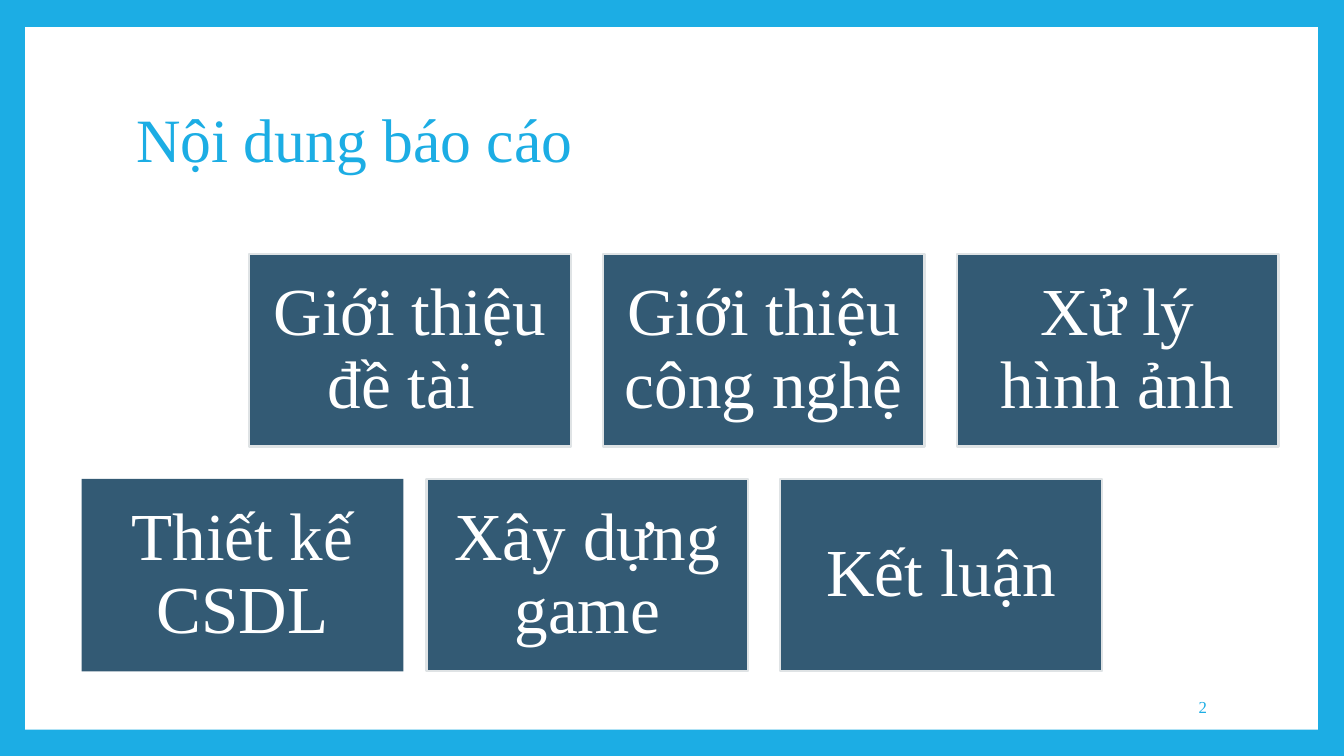
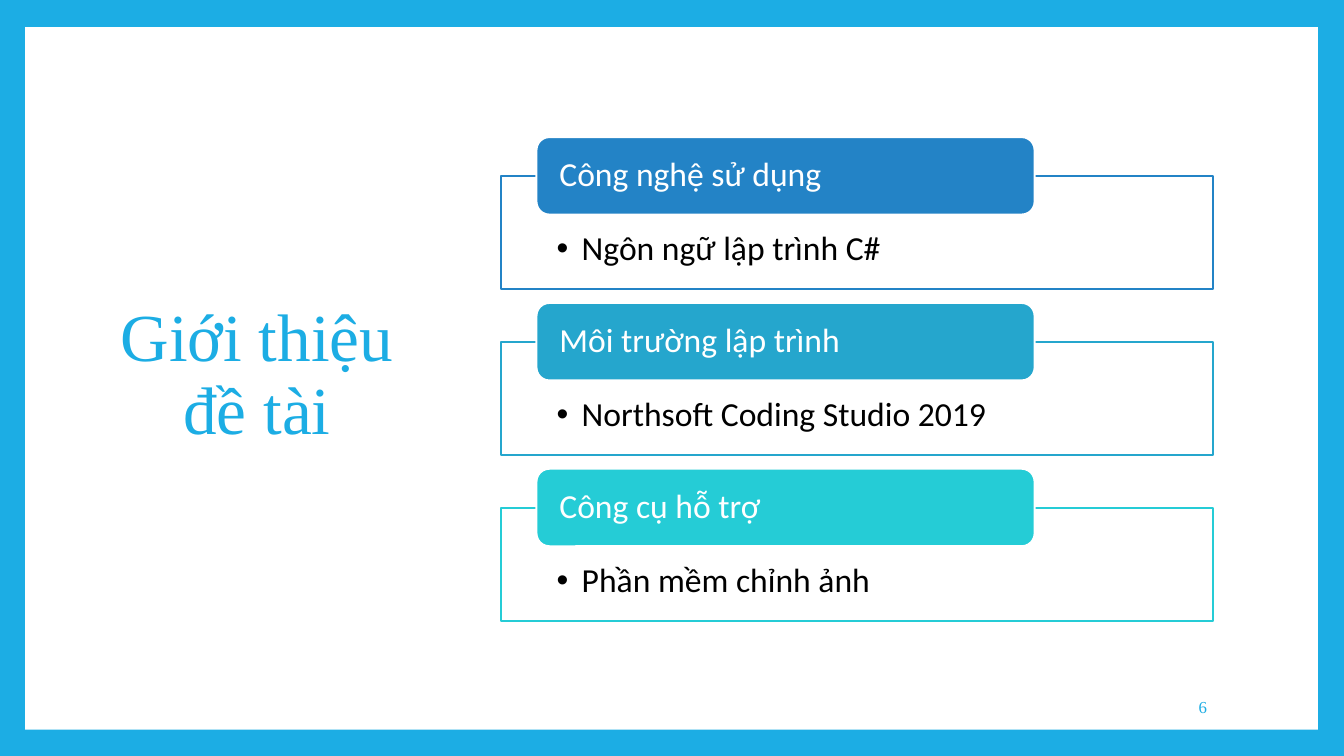
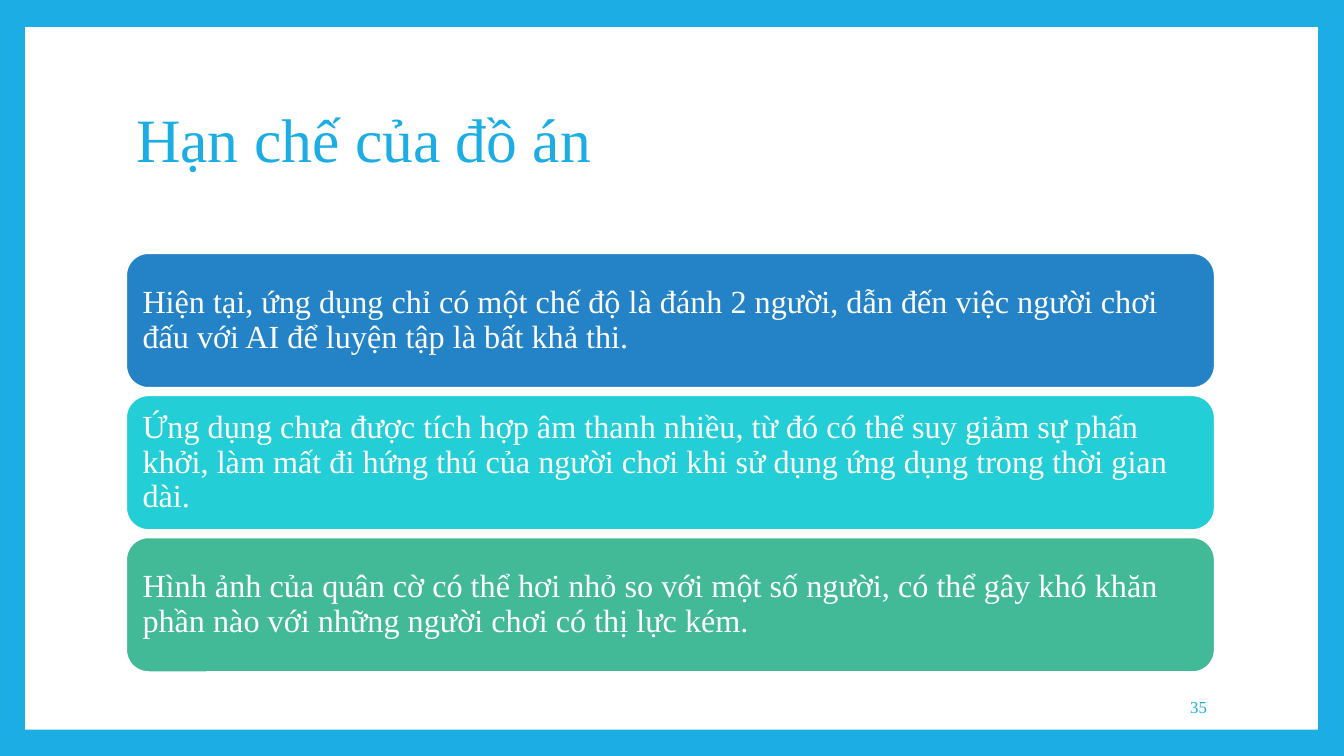
import pptx
import pptx.util
import pptx.dml.color
import pptx.enum.shapes
import pptx.enum.text
import lxml.etree

Inches = pptx.util.Inches
SHAPE = pptx.enum.shapes.MSO_SHAPE
ALIGN = pptx.enum.text.PP_ALIGN
MIDDLE = pptx.enum.text.MSO_ANCHOR.MIDDLE
TOP = pptx.enum.text.MSO_ANCHOR.TOP
COLORS = {
    "sky": "1CADE4",
    "white": "FFFFFF",
    "black": "000000",
    "slate": "335A74",
    "mist": "DFE3E5",
    "blue": "2383C6",
    "ocean": "25A6CD",
    "aqua": "25CCD6",
    "cyan": "24CED7",
    "green": "42BA97",
}
SERIF = "Times New Roman"
SANS = "Calibri"
BAR = (1.25, 0.67, 10.8, 1.48)
SIDE = (0.71, 0.67, 3.68, 6.13)


def color(name):
    return pptx.dml.color.RGBColor.from_string(COLORS[name])


def write(shape, text, size, tint, font=SERIF, align=ALIGN.LEFT,
          inset=(0.1, 0.05, 0.1, 0.05), anchor=MIDDLE, lead=0.9):
    frame = shape.text_frame
    frame.word_wrap = True
    frame.auto_size = pptx.enum.text.MSO_AUTO_SIZE.NONE
    frame.vertical_anchor = anchor
    (frame.margin_left, frame.margin_top,
     frame.margin_right, frame.margin_bottom) = map(Inches, inset)
    line = frame.paragraphs[0]
    line.alignment = align
    line.line_spacing = lead
    run = line.add_run()
    run.text = text
    run.font.name = font
    run.font.size = pptx.util.Pt(size)
    run.font.color.rgb = color(tint)


def panel(slide, kind, box, fill, edge=None):
    shape = slide.shapes.add_shape(kind, *map(Inches, box))
    shape.shadow.inherit = False
    shape.fill.solid()
    shape.fill.fore_color.rgb = color(fill)
    if edge:
        shape.line.color.rgb = color(edge)
        shape.line.width = pptx.util.Pt(1.5)
    else:
        shape.line.fill.background()
    return shape


def child(parent, tag, **attrs):
    return lxml.etree.SubElement(parent, pptx.oxml.ns.qn(tag), attrs)


def bullet(shape):
    props = shape.text_frame.paragraphs[0]._p.get_or_add_pPr()
    props.set("marL", str(Inches(0.25)))
    props.set("indent", str(-Inches(0.25)))
    child(child(props, "a:buClr"), "a:srgbClr", val=COLORS["black"])
    child(props, "a:buFont", typeface="Arial")
    child(props, "a:buChar", char="•")


def fade(shape, share):
    tone = shape._element.spPr.find(".//" + pptx.oxml.ns.qn("a:srgbClr"))
    child(tone, "a:alpha", val=str(share * 1000))


def frame_master(deck, slide):
    master = deck.slide_master
    master.background.fill.solid()
    master.background.fill.fore_color.rgb = color("sky")
    sheet = panel(slide, SHAPE.RECTANGLE, (0.25, 0.27, 12.82, 6.97), "white")
    sheet._element.nvSpPr.cNvPr.set("id", "99")
    master.shapes._spTree.insert(2, sheet._element)


def start(deck, title, number, box=BAR, size=44, align=ALIGN.LEFT):
    slide = deck.slides.add_slide(deck.slide_layouts[5])
    head = slide.shapes.title
    head.left, head.top, head.width, head.height = map(Inches, box)
    write(head, title, size, "sky", align=align)
    foot = slide.shapes.add_textbox(*map(Inches, (10.2, 6.81, 1.87, 0.4)))
    write(foot, number, 12, "sky", align=ALIGN.RIGHT, lead=1)
    return slide


def tile(slide, box, text, edge="mist"):
    shape = panel(slide, SHAPE.RECTANGLE, box, "slate", edge)
    write(shape, text, 48, "white", align=ALIGN.CENTER, inset=(0.2,) * 4)


def tile_row(slide, box, texts, gap=0.32):
    left, top, width, height = box
    for i, text in enumerate(texts):
        tile(slide, (left + i * (width + gap), top, width, height), text)


def topic(slide, box, label, item, tint):
    left, top, width, height = box
    body = panel(slide, SHAPE.RECTANGLE,
                 (left, top + 0.39, width, height - 0.39), "white", tint)
    fade(body, 90)
    bullet(body)
    write(body, item, 24, "black", SANS,
          inset=(0.55, 0.55, 0.55, 0.19), anchor=TOP)
    tab = panel(slide, SHAPE.ROUNDED_RECTANGLE,
                (left + 0.35, top, width * 0.7, 0.77), tint, "white")
    write(tab, label, 24, "white", SANS, inset=(0.19, 0, 0.19, 0))


def note(slide, box, text, tint):
    shape = panel(slide, SHAPE.ROUNDED_RECTANGLE, box, tint, "white")
    write(shape, text, 23, "white", inset=(0.1,) * 4)


def stack(draw, slide, box, step, rows):
    left, top, width, height = box
    for i, row in enumerate(rows):
        draw(slide, (left, top + i * step, width, height), *row)


def main():
    deck = pptx.Presentation()
    deck.slide_width = Inches(13.33)
    deck.slide_height = Inches(7.5)

    slide = start(deck, "Nội dung báo cáo", "2")
    frame_master(deck, slide)
    tile_row(slide, (2.47, 2.52, 3.19, 1.91),
             ["Giới thiệu đề tài ", "Giới thiệu công nghệ", "Xử lý hình ảnh"])
    tile_row(slide, (4.23, 4.75, 3.19, 1.91), ["Xây dựng game", "Kết luận"])
    tile(slide, (0.81, 4.75, 3.19, 1.91), "Thiết kế CSDL", None)

    slide = start(deck, "Giới thiệu đề tài", "6", SIDE, 48, ALIGN.CENTER)
    stack(topic, slide, (4.97, 1.36, 7.06, 1.51), 1.645, [
        ("Công nghệ sử dụng", "Ngôn ngữ lập trình C#", "blue"),
        ("Môi trường lập trình", "Northsoft Coding Studio 2019", "ocean"),
        ("Công cụ hỗ trợ", "Phần mềm chỉnh ảnh", "aqua"),
    ])

    slide = start(deck, "Hạn chế của đồ án", "35")
    stack(note, slide, (1.25, 2.51, 10.8, 1.34), 1.41, [
        ("Hiện tại, ứng dụng chỉ có một chế độ là đánh 2 người, dẫn đến việc "
         "người chơi đấu với AI để luyện tập là bất khả thi.", "blue"),
        ("Ứng dụng chưa được tích hợp âm thanh nhiều, từ đó có thể suy giảm "
         "sự phấn khởi, làm mất đi hứng thú của người chơi khi sử dụng ứng "
         "dụng trong thời gian dài.", "cyan"),
        ("Hình ảnh của quân cờ có thể hơi nhỏ so với một số người, có thể gây "
         "khó khăn phần nào với những người chơi có thị lực kém.", "green"),
    ])
    deck.save("out.pptx")


if __name__ == "__main__":
    main()
